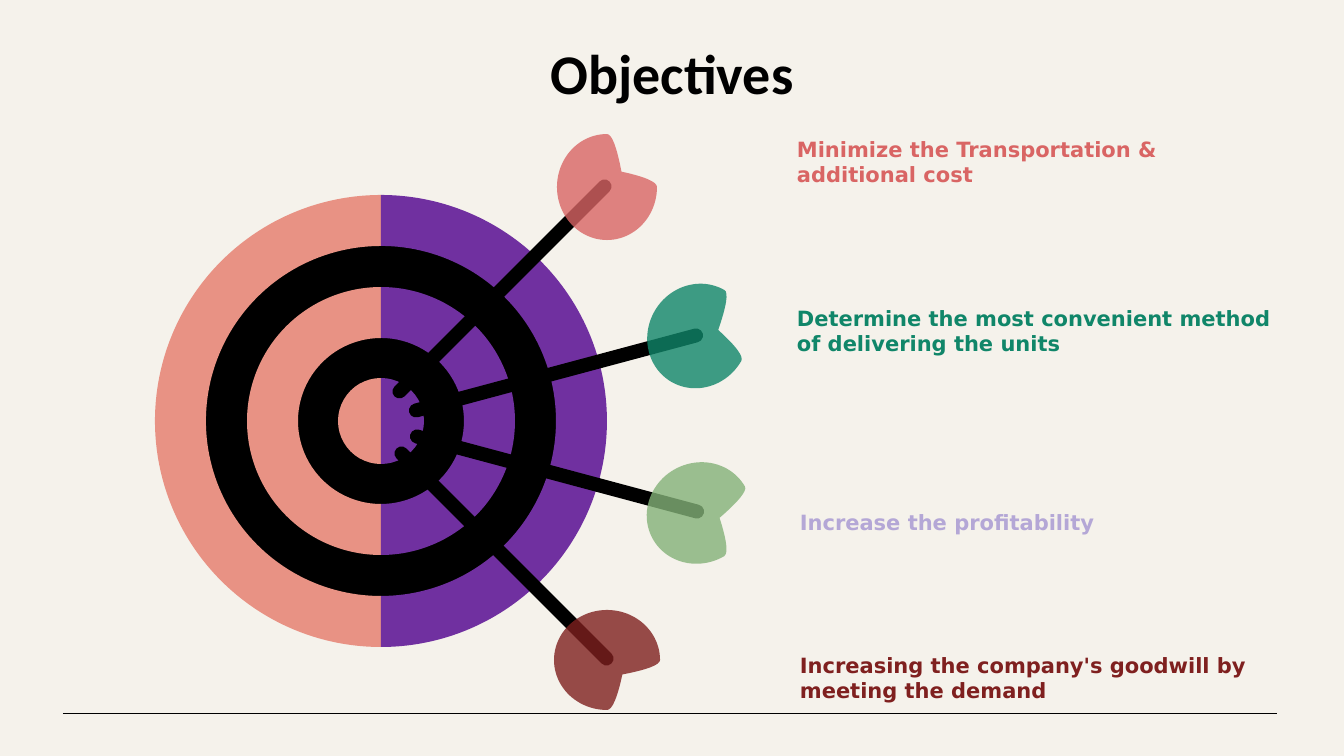
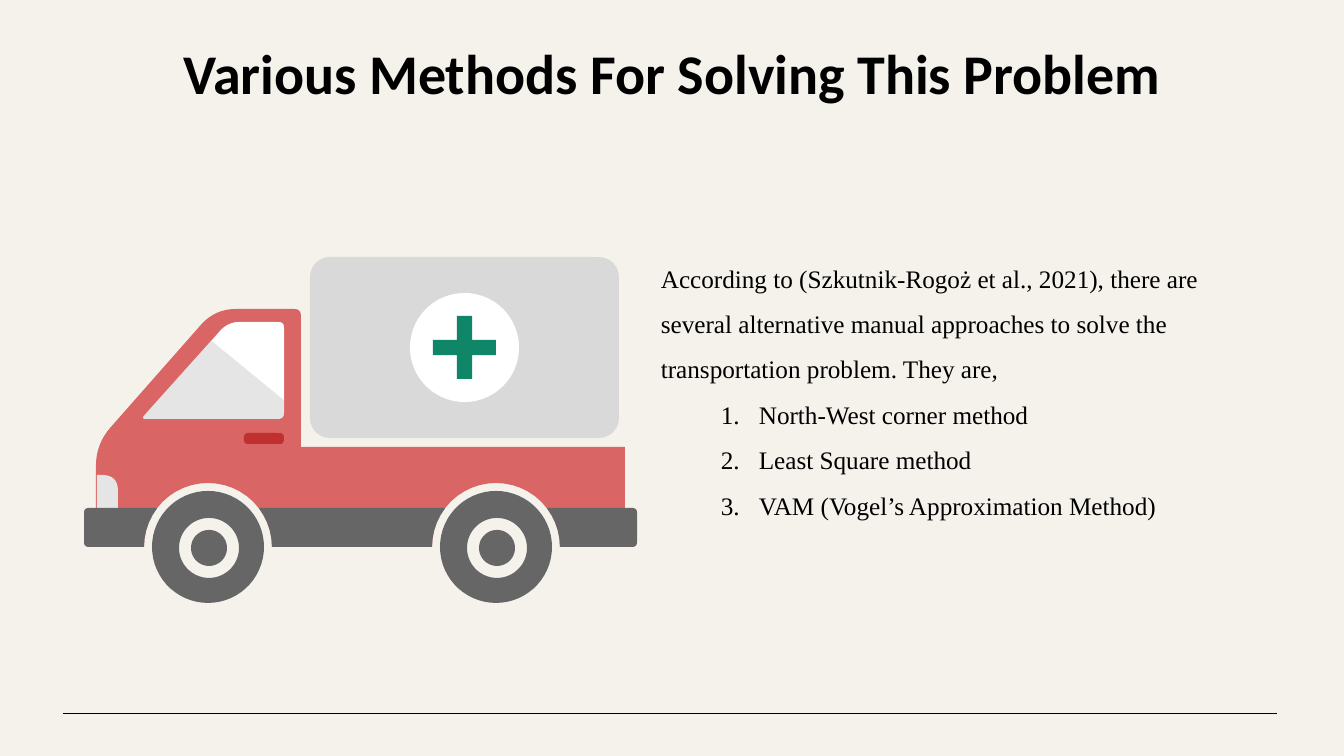
from math import cos, hypot, radians, sin

from lxml.etree import SubElement
from pptx import Presentation
from pptx.dml.color import RGBColor
from pptx.enum.shapes import MSO_CONNECTOR, MSO_SHAPE
from pptx.enum.text import MSO_ANCHOR, PP_ALIGN
from pptx.oxml.ns import qn
from pptx.util import Pt

PX = 914400 / 100.8  # EMU in one px
COLORS = {
    "background": "F5F2EB", "black": "000000", "white": "FFFFFF",
    "salmon": "E89284", "purple": "7030A0", "lavender": "B4A7D6",
    "coral": "D96564", "teal": "108669", "green": "84B278", "maroon": "7F201F",
    "red": "BF302F", "glass": "E5E5E5", "cargo": "D9D9D9", "gray": "666666",
}
TITLE = {"name": "Calibri", "size": Pt(40), "bold": True}
LABEL = {"name": "DejaVu Sans", "size": Pt(15), "bold": True}
BODY = {"name": "Times New Roman", "size": Pt(18)}


def add_shape(slide, kind, box, color, adjustments=(), rotation=0):
    shape = slide.shapes.add_shape(kind, *(round(value * PX) for value in box))
    shape.shadow.inherit = False
    shape.fill.solid()
    shape.fill.fore_color.rgb = RGBColor.from_string(COLORS[color])
    shape.line.fill.background()
    for index, value in enumerate(adjustments):
        shape.adjustments[index] = value
    shape.rotation = rotation
    return shape


def add_text(slide, box, lines, font_format, color="black",
             paragraph_format=None, anchor=MSO_ANCHOR.TOP):
    text_box = slide.shapes.add_textbox(*(round(value * PX) for value in box))
    frame = text_box.text_frame
    frame.word_wrap = True
    frame.vertical_anchor = anchor
    frame.text = "\n".join(lines)
    for paragraph in frame.paragraphs:
        for name, value in (paragraph_format or {}).items():
            setattr(paragraph, name, value)
        font = paragraph.runs[0].font
        for name, value in font_format.items():
            setattr(font, name, value)
        font.color.rgb = RGBColor.from_string(COLORS[color])
    return frame


presentation = Presentation()
presentation.slide_width = round(1344 * PX)
presentation.slide_height = round(756 * PX)

# Shared background, title and footer line
background = presentation.slide_master.background.fill
background.solid()
background.fore_color.rgb = RGBColor.from_string(COLORS["background"])

slides = []
for title in ("Objectives", "Various Methods For Solving This Problem"):
    slide = presentation.slides.add_slide(presentation.slide_layouts[6])
    footer = slide.shapes.add_connector(
        MSO_CONNECTOR.STRAIGHT, *(round(value * PX) for value in (63, 714, 1277, 714)))
    footer.line.color.rgb = RGBColor.from_string(COLORS["black"])
    footer.line.width = Pt(0.75)
    SubElement(footer.element.spPr, qn("a:effectLst"))
    add_text(slide, (72, 34, 1200, 78), [title], TITLE,
             paragraph_format={"alignment": PP_ALIGN.CENTER})
    slides.append(slide)
objectives, methods = slides

# Target: black disc under two-coloured rings (diameter, thickness)
add_shape(objectives, MSO_SHAPE.OVAL, (183, 223, 396, 396), "black")
for diameter, thickness in ((452, 51), (268, 51), (86, 43)):
    box = (381 - diameter / 2, 421 - diameter / 2, diameter, diameter)
    for color, start, end in (("salmon", 90, 270), ("purple", 270, 90)):
        add_shape(objectives, MSO_SHAPE.BLOCK_ARC, box, color,
                  (start * 0.6, end * 0.6, thickness / diameter))

# Arrows: angle, shaft centre, feather centre, colour
arrows = (
    (75, (556, 373), (698, 336), "teal"),
    (45, (502, 289), (607, 187), "coral"),
    (135, (504, 556), (607, 660), "maroon"),
    (105, (557, 474), (699, 513), "green"),
)
for angle, (shaft_x, shaft_y), (feather_x, feather_y), color in arrows:
    add_shape(objectives, MSO_SHAPE.ROUNDED_RECTANGLE,
              (shaft_x - 7, shaft_y - 152, 14, 304), "black", (0.5,), angle)
    feather = add_shape(objectives, MSO_SHAPE.TEAR,
                        (feather_x - 50, feather_y - 53, 100, 106),
                        color, (0.29,), (angle - 45) % 360)
    feather_color = feather.element.spPr.find(".//" + qn("a:srgbClr"))
    SubElement(feather_color, qn("a:alpha"), val="80000")

# Objective labels
labels = (
    ((787, 131, 485, 61), "Minimize the Transportation & additional cost", "coral"),
    ((787, 300, 503, 61), "Determine the most convenient method of delivering the units", "teal"),
    ((790, 505, 422, 35), "Increase the profitability", "lavender"),
    ((790, 647, 500, 61), "Increasing the company's goodwill by meeting the demand", "maroon"),
)
for box, text, color in labels:
    add_text(objectives, box, [text], LABEL, color, anchor=MSO_ANCHOR.MIDDLE)

# Wheel arches, from right to left, and the parts of them that cut the chassis
arches, right_cuts, left_cuts, wheels = [], [], [], []
for center in (208, 496):
    arch = [(center + 64 * cos(radians(step * 7.5)), 547 - 64 * sin(radians(step * 7.5)), 0)
            for step in range(25)]
    arches.append(arch)
    right_cuts.append([point for point in arch if point[0] > center and point[1] >= 508])
    left_cuts.append([point for point in arch if point[0] < center and point[1] >= 508])
    for radius, shift in ((56, 0), (30, 1), (18, 1)):
        wheels.append([(center + shift + radius * cos(radians(angle)),
                        547 + shift + radius * sin(radians(angle)), 0)
                       for angle in range(0, 360, 6)])
chassis = [
    [(84, 508, 5), *left_cuts[0], (84, 547, 5)],
    [*right_cuts[0], *left_cuts[1]],
    [*right_cuts[1], (637, 508, 5), (637, 547, 5)],
]

# Truck outlines: contours of corners (x, y, rounding)
outlines = (
    ("coral", [[(96, 547, 0), (96, 444, 22), (215, 309, 21), (301, 309, 7), (301, 447, 0),
                (625, 447, 0), (625, 547, 0), *arches[1], *arches[0]]]),
    ("glass", [[(141, 419, 5), (228, 322, 12), (284, 322, 6), (284, 419, 6)]]),
    ("white", [[(212, 341, 0), (228, 322, 12), (284, 322, 6), (284, 400, 0)]]),
    ("glass", [[(97, 475, 0), (118, 475, 16), (118, 508, 0), (97, 508, 0)]]),
    ("gray", chassis + wheels),
)
for color, contours in outlines:
    builder = None
    for corners in contours:
        points = []
        for index, (x, y, rounding) in enumerate(corners):
            if not rounding:
                points.append((round(x * PX), round(y * PX)))
                continue
            ends = []
            for near_x, near_y, _ in (corners[index - 1], corners[(index + 1) % len(corners)]):
                share = rounding / hypot(near_x - x, near_y - y)
                ends.append((x + (near_x - x) * share, y + (near_y - y) * share))
            for step in range(9):
                t = step / 8
                points.append(tuple(
                    round(PX * ((1 - t) ** 2 * start + 2 * t * (1 - t) * middle + t * t * end))
                    for start, middle, end in zip(ends[0], (x, y), ends[1])))
        if builder is None:
            builder = methods.shapes.build_freeform(*points[0])
        else:
            builder.move_to(*points[0])
        builder.add_line_segments(points[1:], close=True)
    outline = builder.convert_to_shape()
    outline.shadow.inherit = False
    outline.fill.solid()
    outline.fill.fore_color.rgb = RGBColor.from_string(COLORS[color])
    outline.line.fill.background()

# Door handle and cargo box with cross
truck_parts = (
    (MSO_SHAPE.ROUNDED_RECTANGLE, (244, 433, 40, 11), "red", (0.35,)),
    (MSO_SHAPE.ROUNDED_RECTANGLE, (310, 257, 309, 181), "cargo", (0.11,)),
    (MSO_SHAPE.OVAL, (410, 293, 109, 109), "white", ()),
    (MSO_SHAPE.CROSS, (433, 316, 63, 63), "teal", (0.38,)),
)
for kind, box, color, adjustments in truck_parts:
    add_shape(methods, kind, box, color, adjustments)

# Introduction and numbered methods
lines = [
    "According to (Szkutnik-Rogoż et al., 2021), there are several alternative manual "
    "approaches to solve the transportation problem. They are,",
    "North-West corner method",
    "Least Square method",
    "VAM (Vogel’s Approximation Method)",
]
frame = add_text(methods, (651, 243, 609, 316), lines, BODY,
                 paragraph_format={"line_spacing": 1.5})
for paragraph in frame.paragraphs[1:]:
    properties = paragraph._p.get_or_add_pPr()
    properties.set("marL", str(round(98 * PX)))
    properties.set("indent", str(round(-38 * PX)))
    SubElement(properties, qn("a:buFont"), typeface="+mj-lt")
    SubElement(properties, qn("a:buAutoNum"), type="arabicPeriod")

presentation.save("out.pptx")
